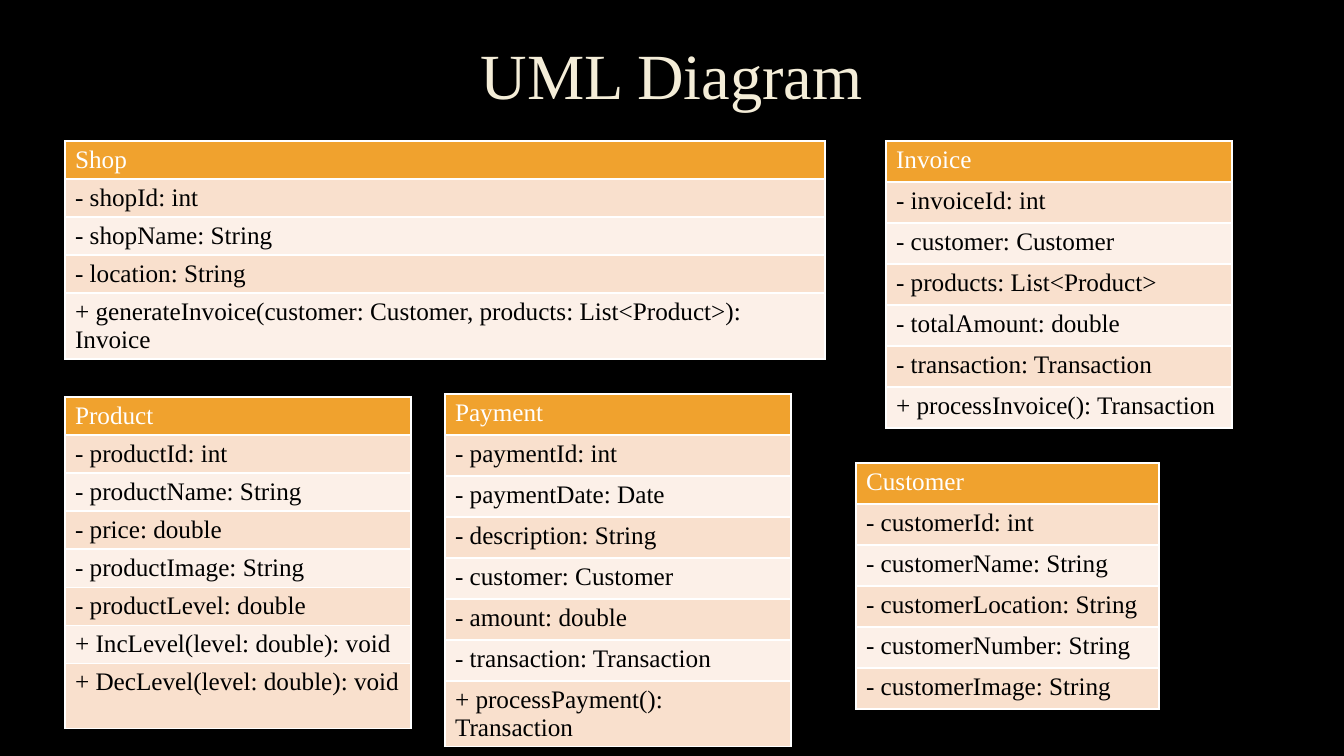
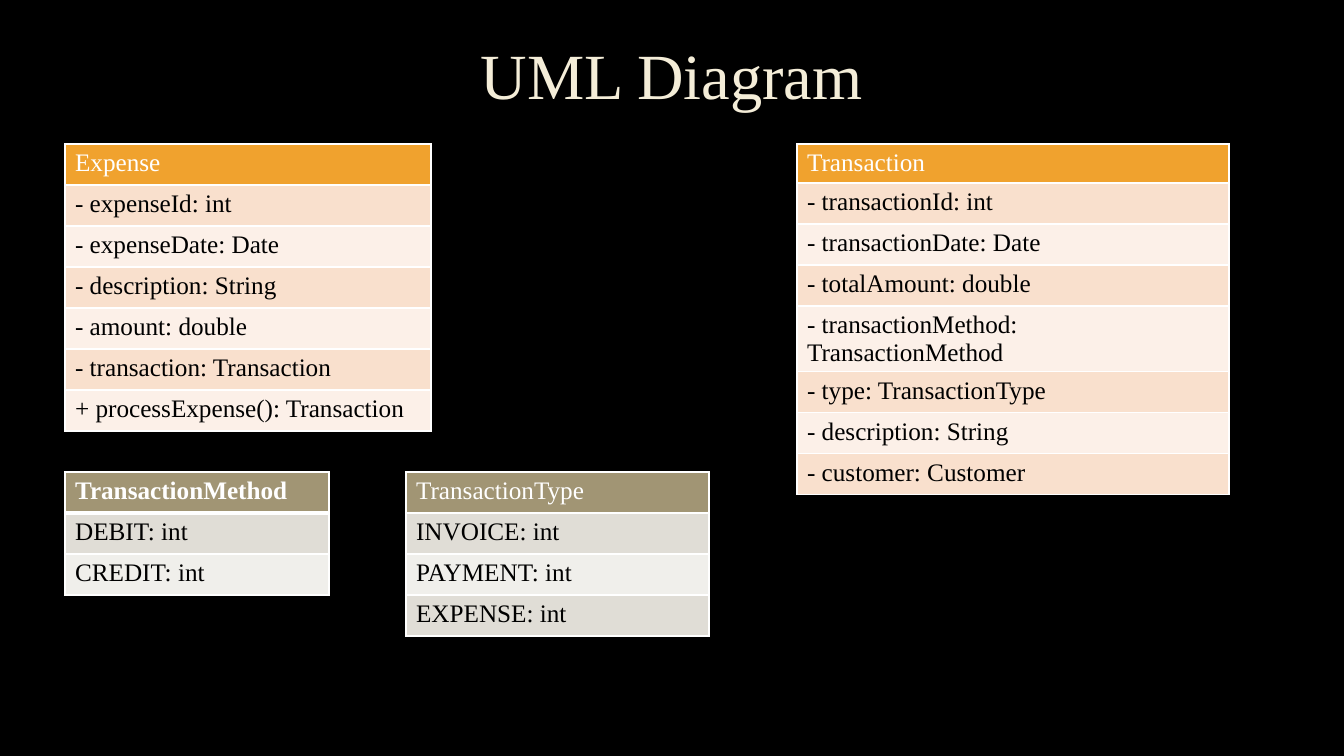
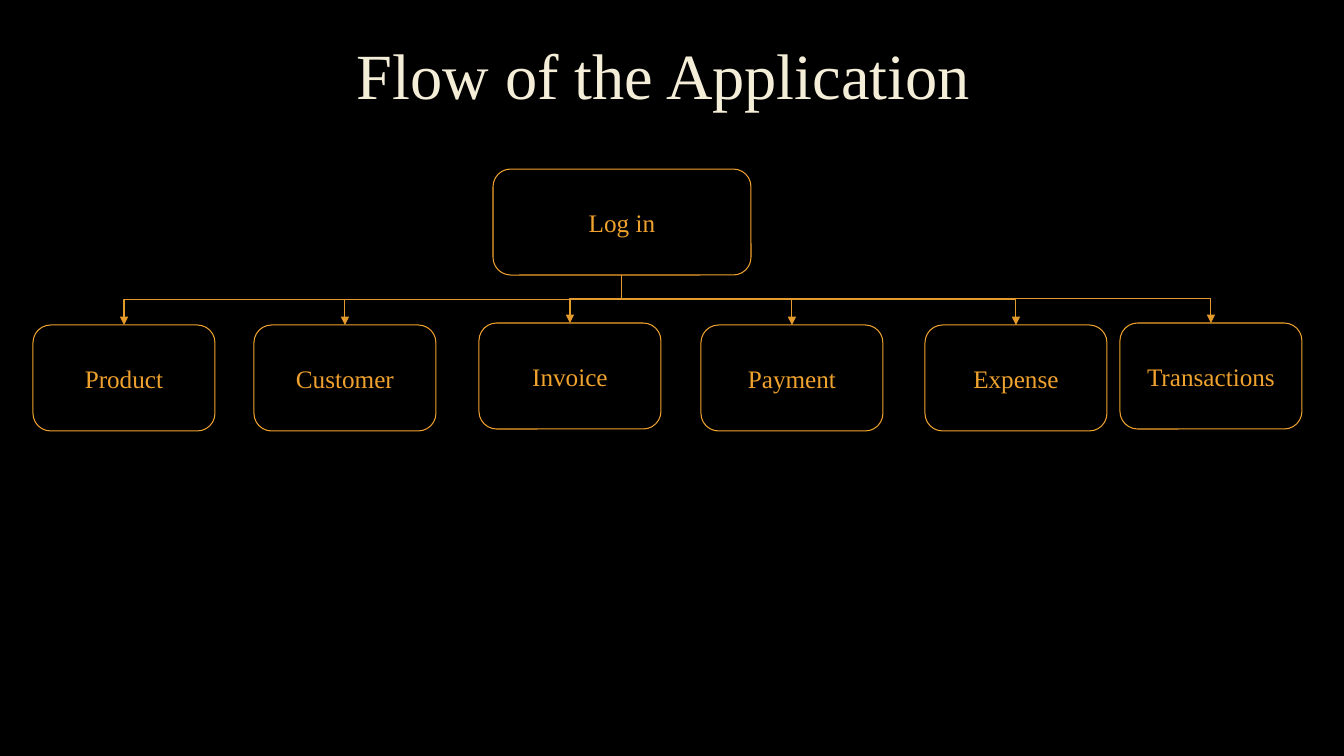
from pptx import Presentation
from pptx.dml.color import RGBColor
from pptx.enum.shapes import MSO_CONNECTOR as Connector, MSO_SHAPE as Shape
from pptx.enum.text import MSO_ANCHOR as Anchor, PP_ALIGN as Align
from pptx.oxml import parse_xml
from pptx.oxml.ns import nsdecls
from pptx.util import Emu, Pt

# Shared look
PX = 12192000 / 1344
FONT = "Times New Roman"
BLACK, WHITE, CREAM = "000000", "FFFFFF", "F4EDD8"
ORANGE, ARROW = "F0A22E", "E59B2C"
CLASS_FILLS = (ORANGE, "F9E0CD", "FCF0E8")  # header, odd rows, even rows
ENUM_FILLS = ("A19574", "E0DDD6", "F0EFEB")
TITLE_BOX = (101, 9, 1141, 139)
ROW_HEIGHT = 41

# Class tables: place is (left, top, width)
SHOP_TABLES = [
    dict(name="Shop", place=(65, 141, 760), row=37, last=57, members=[
        "- shopId: int", "- shopName: String", "- location: String",
        "+ generateInvoice(customer: Customer, products: List<Product>): Invoice"]),
    dict(name="Invoice", place=(886, 141, 346), members=[
        "- invoiceId: int", "- customer: Customer", "- products: List<Product>",
        "- totalAmount: double", "- transaction: Transaction",
        "+ processInvoice(): Transaction"]),
    dict(name="Product", place=(65, 397, 346), row=37, last=65, members=[
        "- productId: int", "- productName: String", "- price: double",
        "- productImage: String", "- productLevel: double",
        "+ IncLevel(level: double): void", "+ DecLevel(level: double): void"]),
    dict(name="Customer", place=(856, 463, 303), members=[
        "- customerId: int", "- customerName: String", "- customerLocation: String",
        "- customerNumber: String", "- customerImage: String"]),
    dict(name="Payment", place=(445, 394, 346), members=[
        "- paymentId: int", "- paymentDate: Date", "- description: String",
        "- customer: Customer", "- amount: double", "- transaction: Transaction",
        "+ processPayment(): Transaction"]),
]
MONEY_TABLES = [
    dict(name="Transaction", place=(797, 144, 432), first=39, members=[
        "- transactionId: int", "- transactionDate: Date", "- totalAmount: double",
        "- transactionMethod: TransactionMethod", "- type: TransactionType",
        "- description: String", "- customer: Customer"]),
    dict(name="TransactionMethod", place=(65, 472, 264), fills=ENUM_FILLS, bold=True,
         members=["DEBIT: int", "CREDIT: int"]),
    dict(name="TransactionType", place=(406, 472, 303), fills=ENUM_FILLS,
         members=["INVOICE: int", "PAYMENT: int", "EXPENSE: int"]),
    dict(name="Expense", place=(65, 144, 366), members=[
        "- expenseId: int", "- expenseDate: Date", "- description: String",
        "- amount: double", "- transaction: Transaction",
        "+ processExpense(): Transaction"]),
]
UML_SLIDES = [("UML Diagram", SHOP_TABLES), ("UML Diagram", MONEY_TABLES)]

# Flow chart
FLOW_TITLE = "Flow of the Application "
LOGIN = ("Log in", 493, 169, 258)
SCREENS = [("Product", 33, 325), ("Customer", 254, 325), ("Invoice", 479, 323),
           ("Payment", 701, 325), ("Expense", 925, 325), ("Transactions", 1120, 323)]
SCREEN_WIDTH, BOX_HEIGHT = 182, 106


def px(*lengths):
    return [Emu(round(length * PX)) for length in lengths]


def color(hex_string):
    return RGBColor.from_string(hex_string)


def write(frame, text, size=18, fill=BLACK, bold=False, align=None, spacing=None):
    paragraph = frame.paragraphs[0]
    paragraph.alignment = align
    paragraph.line_spacing = spacing
    run = paragraph.add_run()
    run.text = text
    font = run.font
    font.name, font.size, font.bold = FONT, Pt(size), bold
    font.color.rgb = color(fill)


def add_titled_slide(presentation, text):
    slide = presentation.slides.add_slide(presentation.slide_layouts[5])
    title = slide.shapes.title
    title.left, title.top, title.width, title.height = px(*TITLE_BOX)
    title.text_frame.vertical_anchor = Anchor.MIDDLE
    write(title.text_frame, text, size=46, fill=CREAM, align=Align.CENTER, spacing=0.9)
    return slide


def set_borders(cell, top=1, bottom=1):
    properties = cell._tc.get_or_add_tcPr()
    widths = {"L": 1, "R": 1, "T": top, "B": bottom}
    for index, (side, width) in enumerate(widths.items()):
        properties.insert(index, parse_xml(
            f'<a:ln{side} {nsdecls("a")} w="{Pt(width)}"><a:solidFill>'
            f'<a:srgbClr val="{WHITE}"/></a:solidFill></a:ln{side}>'))


def add_class_table(slide, name, place, members, row=ROW_HEIGHT, first=None, last=None,
                    fills=CLASS_FILLS, bold=False):
    texts = [name, *members]
    heights = [first or row] + [row] * (len(members) - 1) + [last or row]
    table = slide.shapes.add_table(len(texts), 1, *px(*place, sum(heights))).table
    table.first_row = table.horz_banding = False
    rule = 3 if bold else 1
    for index, (text, height) in enumerate(zip(texts, heights)):
        table.rows[index].height = px(height)[0]
        cell = table.cell(index, 0)
        header = index == 0
        cell.fill.solid()
        cell.fill.fore_color.rgb = color(fills[0] if header else fills[2 - index % 2])
        set_borders(cell, top=rule if index == 1 else 1, bottom=rule if header else 1)
        write(cell.text_frame, text, fill=WHITE if header else BLACK, bold=bold and header)


def add_box(slide, text, left, top, width=SCREEN_WIDTH):
    box = slide.shapes.add_shape(Shape.ROUNDED_RECTANGLE, *px(left, top, width, BOX_HEIGHT))
    box.shadow.inherit = False
    box.fill.background()
    box.line.color.rgb = color(ORANGE)
    box.line.width = Pt(0.75)
    box.text_frame.vertical_anchor = Anchor.MIDDLE
    write(box.text_frame, text, fill=ORANGE, align=Align.CENTER)
    return box


def add_elbow_arrow(slide, parent, child):
    start_x, start_y = parent.left + parent.width // 2, parent.top + parent.height
    end_x, end_y = child.left + child.width // 2, child.top
    arrow = slide.shapes.add_connector(Connector.ELBOW, start_x, start_y, end_x, end_y)
    arrow.begin_connect(parent, 2)
    arrow.end_connect(child, 0)
    # Turn the elbow so that it leaves downwards
    drop, reach = end_y - start_y, abs(end_x - start_x)
    arrow.left = Emu((start_x + end_x - drop) // 2)
    arrow.top = Emu((start_y + end_y - reach) // 2)
    arrow.width, arrow.height = Emu(drop), Emu(reach)
    rightward = end_x > start_x
    properties = arrow._element.spPr
    frame = properties.find("{*}xfrm")
    frame.set("rot", str((270 if rightward else 90) * 60000))
    frame.set("flipH", str(int(rightward)))
    frame.set("flipV", "0")
    arrow.line.color.rgb = color(ARROW)
    arrow.line.width = Pt(0.75)
    arrow.line._get_or_add_ln().append(
        parse_xml(f'<a:tailEnd {nsdecls("a")} type="triangle"/>'))
    properties.append(parse_xml(f'<a:effectLst {nsdecls("a")}/>'))


def main():
    presentation = Presentation()
    presentation.slide_width, presentation.slide_height = px(1344, 756)
    background = presentation.slide_master.background.fill
    background.solid()
    background.fore_color.rgb = color(BLACK)

    for title, tables in UML_SLIDES:
        slide = add_titled_slide(presentation, title)
        for table in tables:
            add_class_table(slide, **table)

    slide = add_titled_slide(presentation, FLOW_TITLE)
    login = add_box(slide, *LOGIN)
    screens = [add_box(slide, *screen) for screen in SCREENS]
    for screen in screens:
        add_elbow_arrow(slide, login, screen)

    presentation.save("out.pptx")


if __name__ == "__main__":
    main()
